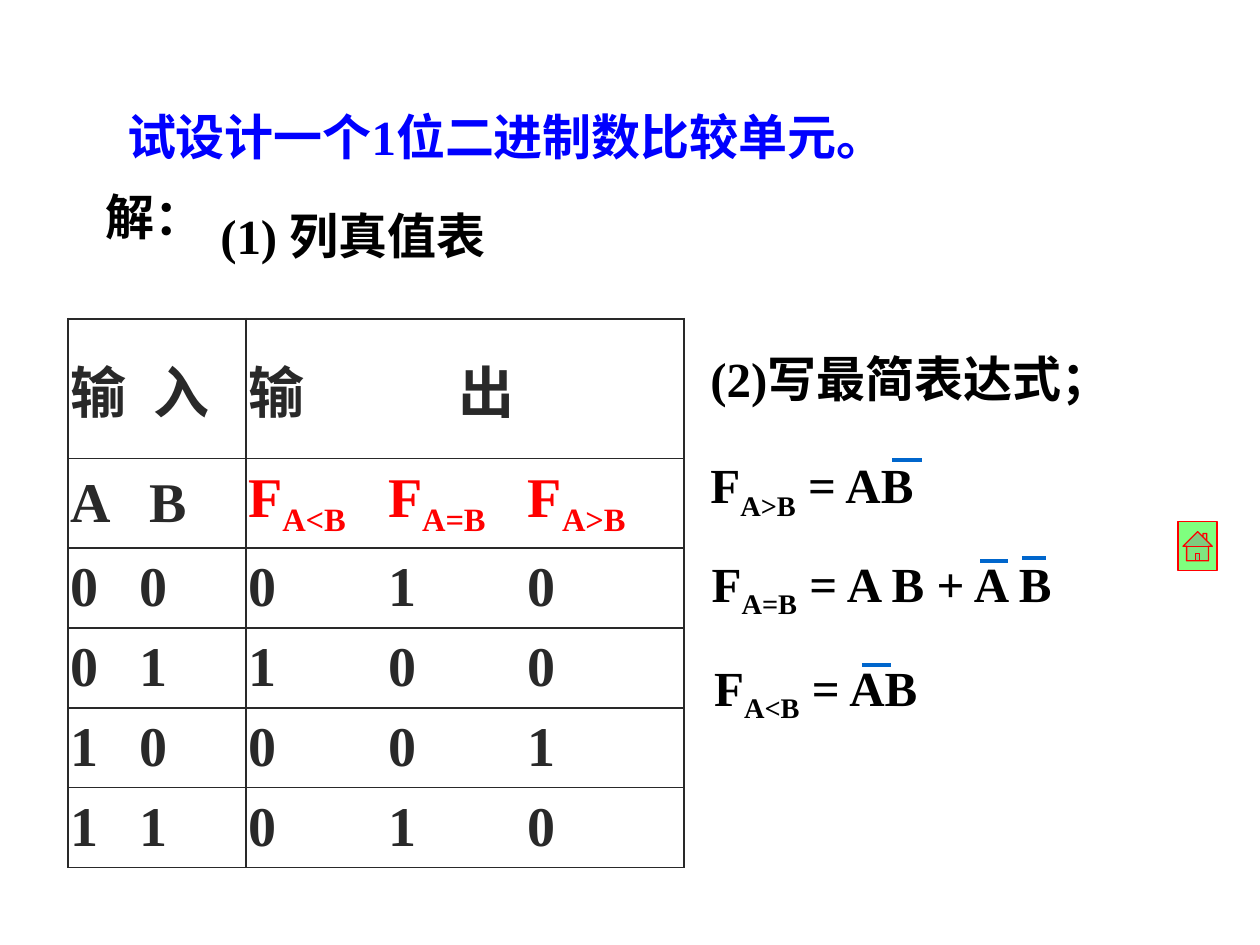
from lxml import etree
from pptx import Presentation
from pptx.dml.color import RGBColor
from pptx.enum.shapes import MSO_CONNECTOR, MSO_SHAPE
from pptx.enum.text import MSO_ANCHOR, MSO_AUTO_SIZE
from pptx.oxml.ns import qn
from pptx.util import Inches, Pt

COLORS = {"title": "0000FF", "text": "000000", "table": "292929",
          "output": "FF0000", "bar": "0066CC", "button": "00FF00"}
FONT = "Times New Roman"


def rgb(name):
    return RGBColor.from_string(COLORS[name])


class Board:
    """Holds the style and the current slide."""

    def __init__(self, slide):
        self.s = slide

    def add_runs(self, p, parts, size, color):
        """Fill a paragraph; every second part is a subscript."""
        for i, part in enumerate(parts):
            r = p.add_run()
            r.text = part
            if i % 2:
                r._r.get_or_add_rPr().set("baseline", "-25000")
        f = p.font
        f.name, f.size, f.bold = FONT, Pt(size), True
        f.color.rgb = rgb(color)

    def tabs(self, p, stops):
        pPr = p._p.get_or_add_pPr()
        tab_list = etree.Element(qn("a:tabLst"))
        for stop in stops:
            etree.SubElement(tab_list, qn("a:tab"), pos=str(Inches(stop)), algn="l")
        pPr.insert(0, tab_list)

    def text(self, x, y, w, h, *parts, color="text", indent=0, shapes=None):
        box = (shapes or self.s.shapes).add_textbox(
            Inches(x), Inches(y), Inches(w), Inches(h))
        tf = box.text_frame
        tf.word_wrap = True
        tf.auto_size = MSO_AUTO_SIZE.SHAPE_TO_FIT_TEXT
        p = tf.paragraphs[0]
        self.add_runs(p, parts, 28, color)
        if indent:
            p._p.get_or_add_pPr().set("marL", str(Inches(indent)))

    def bar(self, shapes, x1, x2, y):
        line = shapes.add_connector(MSO_CONNECTOR.STRAIGHT, Inches(x1),
                                    Inches(y), Inches(x2), Inches(y))
        line.line.color.rgb = rgb("bar")
        line.line.width = Pt(2.24)
        etree.SubElement(line._element.spPr, qn("a:effectLst"))

    def formula(self, x, y, w, sub, expression, bars):
        """A function with negation bars above its variables."""
        group = self.s.shapes.add_group_shape()
        self.text(x, y, w, 0.63, "F", sub, " = " + expression, shapes=group.shapes)
        for x1, x2, bar_y in bars:
            self.bar(group.shapes, x1, x2, bar_y)

    def borders(self, cell):
        tcPr = cell._tc.get_or_add_tcPr()
        for i, side in enumerate(("lnL", "lnR", "lnT", "lnB")):
            ln = etree.Element(qn("a:" + side), w=str(Pt(1.08)))
            fill = etree.SubElement(ln, qn("a:solidFill"))
            etree.SubElement(fill, qn("a:srgbClr"), val=COLORS["table"])
            tcPr.insert(i, ln)

    def table(self, x, y, widths, heights, rows):
        frame = self.s.shapes.add_table(
            len(heights), len(widths), Inches(x), Inches(y),
            Inches(sum(widths)), Inches(sum(heights)))
        t = frame.table
        t.first_row = t.horz_banding = False
        for col, w in zip(t.columns, widths):
            col.width = Inches(w)
        for row, h, contents in zip(t.rows, heights, rows):
            row.height = Inches(h)
            for cell, (parts, stops, color) in zip(row.cells, contents):
                cell.margin_left = cell.margin_right = Inches(0.02)
                cell.vertical_anchor = MSO_ANCHOR.MIDDLE
                cell.fill.background()
                self.borders(cell)
                p = cell.text_frame.paragraphs[0]
                self.add_runs(p, parts, 32, color)
                self.tabs(p, stops)

    def home_button(self, x, y, w, h):
        sp = self.s.shapes.add_shape(MSO_SHAPE.ACTION_BUTTON_HOME, Inches(x),
                                     Inches(y), Inches(w), Inches(h))
        sp.shadow.inherit = False
        sp.fill.solid()
        sp.fill.fore_color.rgb = rgb("button")
        clr = sp._element.spPr.find(".//" + qn("a:srgbClr"))
        etree.SubElement(clr, qn("a:alpha"), val="50000")
        sp.line.color.rgb = rgb("output")
        sp.line.width = Pt(0.74)


prs = Presentation()
prs.slide_width, prs.slide_height = Inches(10), Inches(7.5)
b = Board(prs.slides.add_slide(prs.slide_layouts[6]))

# Task and first step
b.text(0.72, 0.8, 8.33, 0.57, "试设计一个1位二进制数比较单元。", color="title", indent=0.19)
b.text(0.74, 1.43, 1.29, 0.57, "解：")
b.text(1.65, 1.58, 3.44, 0.57, "(1) 列真值表")

# Truth table of the comparator
OUT_STOPS = (1.11, 2.22)
rows = [
    [(["输\t入"], [0.66], "table"), (["输\t出"], [1.67], "table")],
    [(["A\tB"], [0.63], "table"),
     (["F", "A<B", "\tF", "A=B", "\tF", "A>B"], OUT_STOPS, "output")],
]
for a in (0, 1):
    for c in (0, 1):
        outputs = (int(a < c), int(a == c), int(a > c))
        rows.append([([f"{a}\t{c}"], [0.55], "table"),
                     (["\t".join(map(str, outputs))], OUT_STOPS, "table")])
b.table(0.54, 2.53, [1.41, 3.48], [1.11, 0.71] + [0.63] * 4, rows)

# Second step: minimal expressions
b.text(5.54, 2.72, 3.47, 0.57, "(2)写最简表达式；")
b.formula(5.54, 3.56, 4.07, "A>B", "AB", [(7.08, 7.32, 3.65)])
b.formula(5.55, 4.34, 4.02, "A=B", "A B + A B",
          [(7.78, 8, 4.45), (8.11, 8.3, 4.43)])
b.formula(5.57, 5.17, 3.98, "A<B", "AB", [(6.84, 7.07, 5.28)])

# Navigation
b.home_button(9.35, 4.14, 0.31, 0.39)

prs.save("out.pptx")
